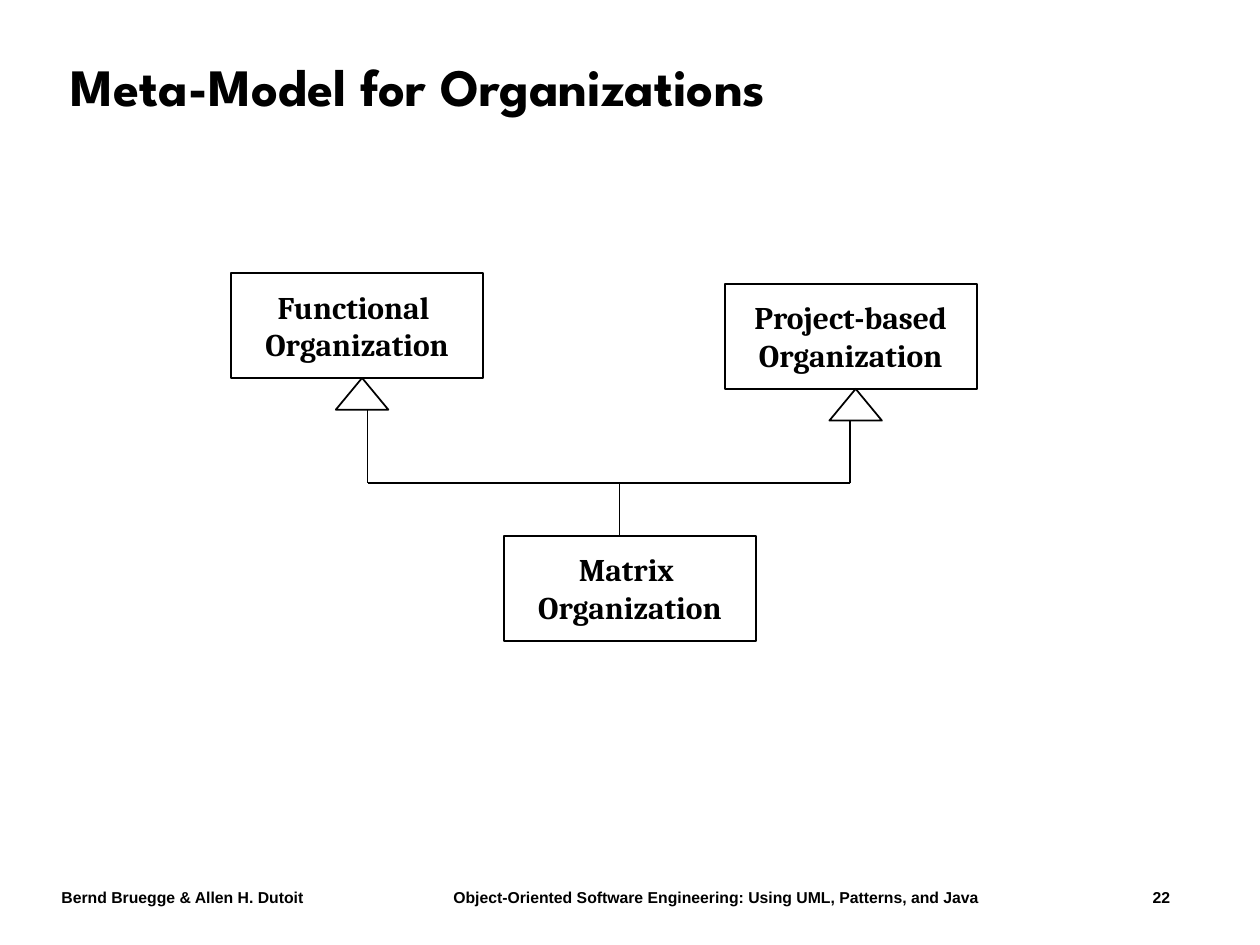
"""Build the slide showing a meta-model for organizations."""
from lxml import etree
from pptx import Presentation
from pptx.dml.color import RGBColor
from pptx.enum.shapes import MSO_CONNECTOR, MSO_SHAPE
from pptx.enum.text import MSO_ANCHOR, MSO_AUTO_SIZE, PP_ALIGN
from pptx.oxml.ns import qn
from pptx.util import Cm, Pt

STRAIGHT = MSO_CONNECTOR.STRAIGHT
RECTANGLE, TRIANGLE = MSO_SHAPE.RECTANGLE, MSO_SHAPE.ISOSCELES_TRIANGLE
LEFT, CENTER = PP_ALIGN.LEFT, PP_ALIGN.CENTER
MIDDLE = MSO_ANCHOR.MIDDLE
NO_AUTOFIT = MSO_AUTO_SIZE.NONE
BLACK, WHITE = "000000", "FFFFFF"


def color(hex_string):
    return RGBColor.from_string(hex_string)


def format_text(text_frame, font_name, size, alignment):
    for paragraph in text_frame.paragraphs:
        paragraph.alignment = alignment
        for run in paragraph.runs:
            run.font.name = font_name
            run.font.size = Pt(size)
            run.font.bold = True
            run.font.color.rgb = color(BLACK)


presentation = Presentation()
presentation.slide_width, presentation.slide_height = Cm(25.4), Cm(19.05)
slide = presentation.slides.add_slide(presentation.slide_layouts[5])
shapes = slide.shapes

title = shapes.title
title.left, title.top, title.width, title.height = Cm(1.17), Cm(0.61), Cm(22.66), Cm(2.39)
title.text_frame.text = "Meta-Model for Organizations"
title.text_frame.vertical_anchor = MIDDLE
title.text_frame.auto_size = NO_AUTOFIT
title.text_frame.paragraphs[0].line_spacing = 0.9
format_text(title.text_frame, "League Spartan", 30, LEFT)

footer = shapes.add_textbox(Cm(0.99), Cm(17.78), Cm(23.29), Cm(0.64))
footer.text_frame.word_wrap = True
footer.text_frame.text = (
    "Bernd Bruegge & Allen H. Dutoit"
    "\tObject-Oriented Software Engineering: Using UML, Patterns, and Java"
    "\t22"
)
format_text(footer.text_frame, "Arial", 9, LEFT)
properties = footer.text_frame.paragraphs[0]._p.get_or_add_pPr()
tab_list = etree.SubElement(properties, qn("a:tabLst"))
for position, alignment in [(7.9, "l"), (22.35, "r")]:
    etree.SubElement(tab_list, qn("a:tab"), pos=str(Cm(position)), algn=alignment)

outlined = []
for name, left, top in [
    ("Functional ", 4.66, 5.5),
    ("Project-based", 14.61, 5.72),
    ("Matrix ", 10.16, 10.8),
]:
    box = shapes.add_shape(RECTANGLE, Cm(left), Cm(top), Cm(5.08), Cm(2.12))
    box.text_frame.text = f"{name}\nOrganization"
    box.text_frame.word_wrap = False
    box.text_frame.vertical_anchor = MIDDLE
    format_text(box.text_frame, "Cambria", 18, CENTER)
    outlined.append(box)

for left, top in [(16.72, 7.84), (6.77, 7.62)]:
    outlined.append(shapes.add_shape(TRIANGLE, Cm(left), Cm(top), Cm(1.06), Cm(0.64)))

for shape in outlined:
    shape.shadow.inherit = False
    shape.fill.solid()
    shape.fill.fore_color.rgb = color(WHITE)
    shape.line.color.rgb = color(BLACK)
    shape.line.width = Pt(1)

functional_x, matrix_x, project_x, junction_y = 7.41, 12.49, 17.14, 9.74
for start_x, start_y, end_x, end_y in [
    (functional_x, 8.26, functional_x, junction_y),
    (functional_x, junction_y, matrix_x, junction_y),
    (matrix_x, junction_y, matrix_x, 10.8),
    (project_x, 8.47, project_x, junction_y),
    (project_x, junction_y, 12.07, junction_y),
]:
    line = shapes.add_connector(STRAIGHT, Cm(start_x), Cm(start_y), Cm(end_x), Cm(end_y))
    line.line.color.rgb = color(BLACK)
    line.line.width = Pt(1)
    etree.SubElement(line._element.spPr, qn("a:effectLst"))

presentation.save("out.pptx")
